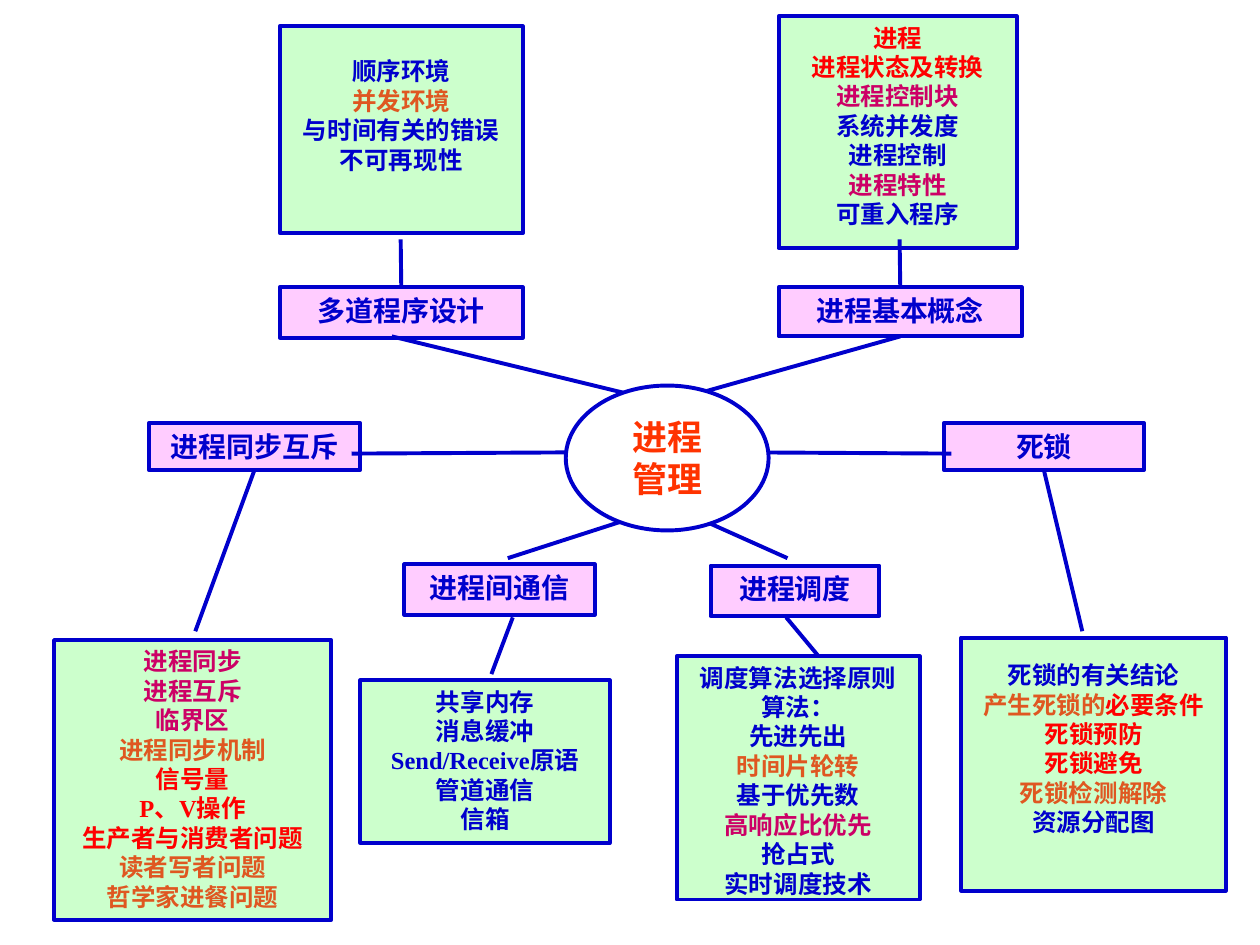
from dataclasses import dataclass
from typing import Optional

from lxml import etree
from pptx import Presentation
from pptx import util as u
from pptx.dml.color import RGBColor
from pptx.enum import shapes, text
from pptx.oxml import ns


@dataclass(frozen=True)
class Theme:
    navy: str = "0000CC"
    red: str = "FF0000"
    magenta: str = "CC0066"
    orange: str = "DF5721"
    hub_text: str = "FF3300"
    green_fill: str = "CCFFCC"
    pink_fill: str = "FFCCFF"
    white: str = "FFFFFF"
    detail_size: float = 14
    heading_size: float = 16
    hub_size: float = 20
    line_width: float = 2.25
    serif: str = "Times New Roman"
    sans: str = "Arial"


THEME = Theme()
NAVY, RED, MAGENTA, ORANGE = THEME.navy, THEME.red, THEME.magenta, THEME.orange
TOP, BOTTOM = 0, 2

Point = tuple[float, float]
Box = tuple[float, float, float, float]
Run = tuple[str, str]


@dataclass(frozen=True)
class Branch:
    """A heading, its list of details, and the lines that tie them together."""
    heading: str
    heading_box: Box
    detail_box: Box
    details: list[list[Run]]
    spoke: tuple[Point, Point]          # heading to hub
    stem: tuple[Point, Point]           # heading to details
    spoke_side: Optional[int] = None    # heading side the spoke is joined to
    stem_side: Optional[int] = None     # heading side the stem is joined to
    font: str = THEME.serif
    centred: bool = False
    top_inset: float = 0.05
    bottom_inset: float = 0.05


def lines(color: str, *words: str) -> list[list[Run]]:
    """One single-coloured line for each wording."""
    return [[(word, color)] for word in words]


BRANCHES = [
    Branch("进程基本概念", (6.18, 2.28, 1.93, 0.39), (6.18, 0.13, 1.89, 1.84),
           lines(RED, "进程", "进程状态及转换")
           + lines(MAGENTA, "进程控制块")
           + lines(NAVY, "系统并发度", "进程控制")
           + lines(MAGENTA, "进程特性")
           + lines(NAVY, "可重入程序"),
           spoke=((7.14, 2.67), (5.55, 3.12)), stem=((7.14, 2.27), (7.14, 1.9)),
           spoke_side=BOTTOM, stem_side=TOP),
    Branch("进程间通信", (3.21, 4.48, 1.51, 0.4), (2.86, 5.4, 1.98, 1.29),
           lines(NAVY, "共享内存", "消息缓冲", "Send/Receive原语", "管道通信", "信箱"),
           spoke=((4.03, 4.43), (4.96, 4.13)), stem=((4.07, 4.9), (3.9, 5.35))),
    Branch("进程调度", (5.64, 4.49, 1.34, 0.4), (5.37, 5.21, 1.93, 1.93),
           lines(NAVY, "调度算法选择原则", "算法：", "先进先出")
           + lines(ORANGE, "时间片轮转")
           + lines(NAVY, "基于优先数")
           + lines(MAGENTA, "高响应比优先")
           + lines(NAVY, "抢占式", "实时调度技术"),
           spoke=((6.25, 4.43), (5.58, 4.13)), stem=((6.24, 4.9), (6.49, 5.2))),
    Branch("进程同步互斥", (1.18, 3.36, 1.68, 0.37), (0.43, 5.08, 2.2, 2.22),
           lines(MAGENTA, "进程同步", "进程互斥", "临界区")
           + lines(ORANGE, "进程同步机制")
           + lines(RED, "信号量", "P、V操作", "生产者与消费者问题")
           + lines(ORANGE, "读者写者问题", "哲学家进餐问题"),
           spoke=((2.79, 3.6), (4.62, 3.59)), stem=((2.05, 3.75), (1.55, 5.01)),
           stem_side=BOTTOM),
    Branch("死锁", (7.49, 3.36, 1.59, 0.37), (7.63, 5.06, 2.1, 2.01),
           lines(NAVY, "死锁的有关结论")
           + [[("产生死锁的", ORANGE), ("必要条件", RED)]]
           + lines(RED, "死锁预防", "死锁避免")
           + lines(ORANGE, "死锁检测解除")
           + lines(NAVY, "资源分配图"),
           spoke=((7.55, 3.6), (5.87, 3.59)), stem=((8.26, 3.75), (8.59, 5.01)),
           stem_side=BOTTOM, top_inset=0.18),
    Branch("多道程序设计", (2.22, 2.28, 1.93, 0.4), (2.22, 0.21, 1.93, 1.64),
           lines(NAVY, "顺序环境")
           + lines(ORANGE, "并发环境")
           + lines(NAVY, "与时间有关的错误", "不可再现性"),
           spoke=((3.11, 2.67), (4.96, 3.12)), stem=((3.18, 2.27), (3.18, 1.9)),
           stem_side=TOP, font=THEME.sans, centred=True, bottom_inset=0.28),
]


def write(shape, content: list[list[Run]], *, size: float, font: str = THEME.serif,
          centred: bool = False, top: float = 0.05, bottom: float = 0.05) -> None:
    """Fill a shape with centred bold lines; vertically centred text does not wrap."""
    frame = shape.text_frame
    frame.word_wrap = not centred
    frame.vertical_anchor = text.MSO_ANCHOR.MIDDLE if centred else text.MSO_ANCHOR.TOP
    frame.margin_top, frame.margin_bottom = u.Inches(top), u.Inches(bottom)
    for index, runs in enumerate(content):
        paragraph = frame.paragraphs[0] if index == 0 else frame.add_paragraph()
        paragraph.alignment = text.PP_ALIGN.CENTER
        for words, color in runs:
            run = paragraph.add_run()
            run.text = words
            run.font.name, run.font.size, run.font.bold = font, u.Pt(size), True
            run.font.color.rgb = RGBColor.from_string(color)


def outline(line) -> None:
    line.color.rgb = RGBColor.from_string(NAVY)
    line.width = u.Pt(THEME.line_width)


def add_node(slide, box: Box, fill: str, kind=shapes.MSO_SHAPE.RECTANGLE):
    node = slide.shapes.add_shape(kind, *map(u.Inches, box))
    node.shadow.inherit = False
    node.fill.solid()
    node.fill.fore_color.rgb = RGBColor.from_string(fill)
    outline(node.line)
    return node


def add_link(slide, ends: tuple[Point, Point], heading, side: Optional[int]) -> None:
    start, end = ends
    link = slide.shapes.add_connector(
        shapes.MSO_CONNECTOR.STRAIGHT, *map(u.Inches, start + end))
    outline(link.line)
    etree.SubElement(link._element.spPr, ns.qn("a:effectLst"))
    if side is not None:
        link.begin_connect(heading, side)


def main() -> None:
    prs = Presentation()
    prs.slide_width, prs.slide_height = u.Inches(10), u.Inches(7.5)
    slide = prs.slides.add_slide(prs.slide_layouts[6])

    # Detail lists
    for branch in BRANCHES:
        detail = add_node(slide, branch.detail_box, THEME.green_fill)
        write(detail, branch.details, size=THEME.detail_size, font=branch.font,
              centred=branch.centred, top=branch.top_inset, bottom=branch.bottom_inset)

    # Headings and their links
    for branch in BRANCHES:
        heading = add_node(slide, branch.heading_box, THEME.pink_fill)
        write(heading, lines(NAVY, branch.heading), size=THEME.heading_size)
        add_link(slide, branch.spoke, heading, branch.spoke_side)
        add_link(slide, branch.stem, heading, branch.stem_side)

    # Hub, over the inner ends of the spokes
    hub = add_node(slide, (4.49, 3.06, 1.61, 1.15), THEME.white, shapes.MSO_SHAPE.OVAL)
    write(hub, lines(THEME.hub_text, "进程", "管理"), size=THEME.hub_size,
          font=THEME.sans, centred=True)

    prs.save("out.pptx")


if __name__ == "__main__":
    main()
